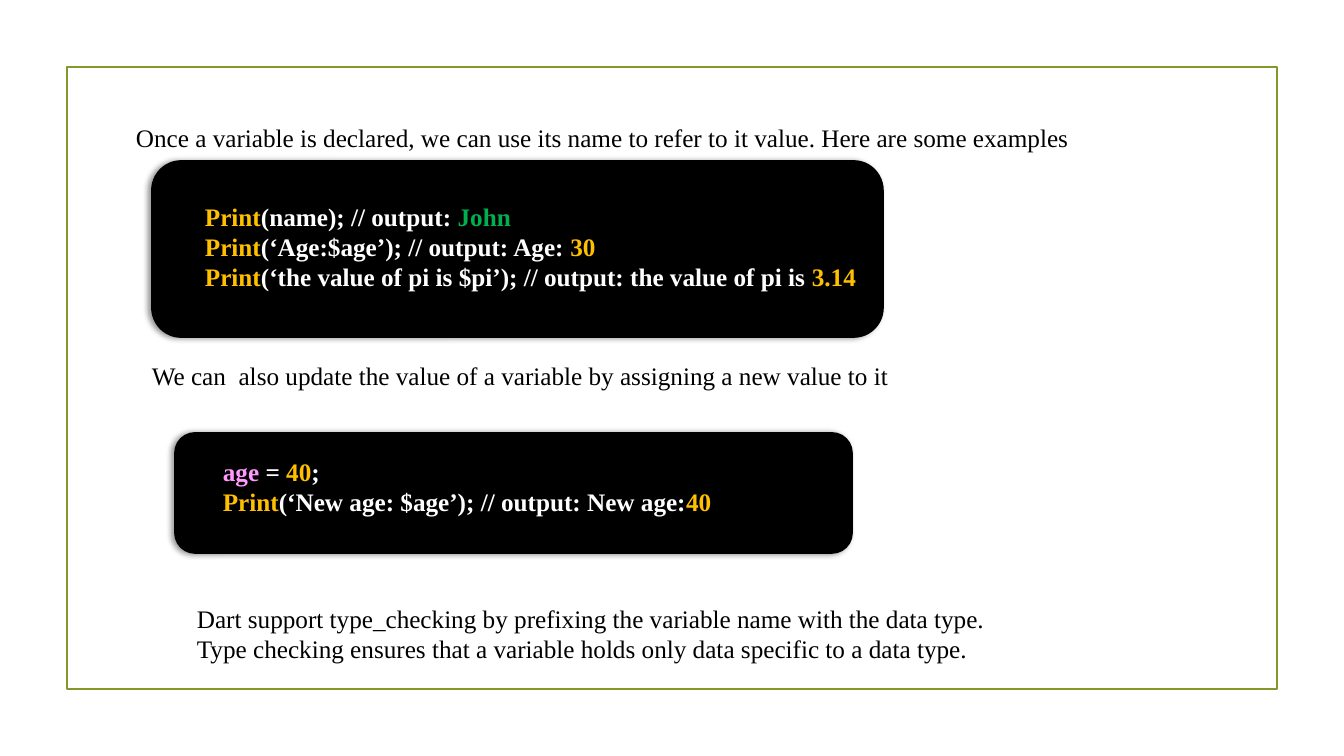
"""Build a slide on using and updating variables in Dart."""
from dataclasses import dataclass

from lxml import etree
from pptx import Presentation
from pptx.dml.color import RGBColor
from pptx.enum.shapes import MSO_SHAPE
from pptx.enum.text import MSO_AUTO_SIZE
from pptx.oxml import parse_xml
from pptx.oxml.ns import nsdecls, qn
from pptx.shapes.autoshape import Shape
from pptx.slide import Slide
from pptx.util import Emu, Pt

RECTANGLE = MSO_SHAPE.RECTANGLE
ROUNDED = MSO_SHAPE.ROUNDED_RECTANGLE
FIT_SHAPE = MSO_AUTO_SIZE.SHAPE_TO_FIT_TEXT
EMU_PER_PX = 914400 / 100.8
FONT = "Times New Roman"
COLOURS = {
    "frame": "83992A",
    "panel": "000000",
    "prose": "000000",
    "code": "FFFFFF",
    "keyword": "FFC000",
    "number": "FFC000",
    "string": "00B050",
    "variable": "FF99FF",
}


@dataclass(frozen=True)
class Box:
    """A place on the slide in px."""

    left: int
    top: int
    width: int
    height: int

    def emu(self) -> tuple[Emu, ...]:
        """Return the place in EMU."""
        return tuple(px(n) for n in (self.left, self.top, self.width, self.height))


@dataclass(frozen=True)
class Span:
    """A stretch of text in one colour role."""

    text: str
    role: str = "code"


@dataclass(frozen=True)
class Passage:
    """Lines of prose or code in one text box."""

    box: Box
    lines: tuple[tuple[Span, ...], ...]
    bold: bool = False


PRINT = Span("Print", "keyword")
FRAME = Box(67, 67, 1210, 622)
CODE_PANELS = (Box(152, 161, 731, 176), Box(175, 433, 677, 120))
PASSAGES = (
    Passage(Box(126, 117, 1119, 40), (
        (Span("Once a variable is declared, we can use its name to refer to it value. "
              "Here are some examples", "prose"),),
    )),
    Passage(Box(195, 196, 688, 102), (
        (PRINT, Span("(name); // output: "), Span("John", "string")),
        (PRINT, Span("(‘Age:$age’); // output: Age: "), Span("30", "number")),
        (PRINT, Span("(‘the value of pi is $pi’); // output: the value of pi is "),
         Span("3.14", "number")),
    ), bold=True),
    Passage(Box(142, 355, 763, 40), (
        (Span("We can  also update the value of a variable by assigning a new value to it",
              "prose"),),
    )),
    Passage(Box(213, 451, 531, 72), (
        (Span("age ", "variable"), Span("="), Span(" 40", "number"), Span(";")),
        (PRINT, Span("(‘New age: $age’); // output: New age:"), Span("40", "number")),
    ), bold=True),
    Passage(Box(187, 598, 808, 72), (
        (Span("Dart support type_checking by prefixing the variable name "
              "with the data type.", "prose"),),
        (Span("Type checking ensures that a variable holds only data specific "
              "to a data type.", "prose"),),
    )),
)


def px(length: int) -> Emu:
    """Turn px into EMU."""
    return Emu(round(length * EMU_PER_PX))


def colour(role: str) -> RGBColor:
    """Return the colour of a role."""
    return RGBColor.from_string(COLOURS[role])


def add_outlined(slide: Slide, preset: MSO_SHAPE, box: Box, role: str) -> Shape:
    """Add an unfilled shape with a coloured outline and no shadow."""
    outlined = slide.shapes.add_shape(preset, *box.emu())
    outlined.shadow.inherit = False
    outlined.fill.background()
    outlined.line.color.rgb = colour(role)
    outlined.line.width = Pt(1.25)
    return outlined


def add_code_panel(slide: Slide, box: Box) -> None:
    """Add a rounded dark panel with a soft shadow on its left."""
    panel = add_outlined(slide, ROUNDED, box, "panel")
    panel.fill.solid()
    panel.fill.fore_color.rgb = colour("panel")
    effects = panel.element.spPr.find(qn("a:effectLst"))
    effects.append(parse_xml(
        f'<a:outerShdw {nsdecls("a")} blurRad="{Pt(4)}" dist="{Pt(3)}" '
        'dir="10800000" algn="r" rotWithShape="0"/>'
    ))
    shade = etree.SubElement(effects[0], qn("a:srgbClr"), val=COLOURS["panel"])
    etree.SubElement(shade, qn("a:alpha"), val="40000")


def add_passage(slide: Slide, passage: Passage) -> None:
    """Add a text box with one paragraph for each line."""
    frame = slide.shapes.add_textbox(*passage.box.emu()).text_frame
    frame.word_wrap = True
    frame.auto_size = FIT_SHAPE
    for index, line in enumerate(passage.lines):
        paragraph = frame.add_paragraph() if index else frame.paragraphs[0]
        paragraph.font.name = FONT
        paragraph.font.size = Pt(18)
        paragraph.font.bold = passage.bold
        for span in line:
            run = paragraph.add_run()
            run.text = span.text
            run.font.color.rgb = colour(span.role)


def main() -> None:
    """Draw the slide and save it."""
    deck = Presentation()
    deck.slide_width, deck.slide_height = px(1344), px(756)
    slide = deck.slides.add_slide(deck.slide_layouts[6])
    add_outlined(slide, RECTANGLE, FRAME, "frame")
    for box in CODE_PANELS:
        add_code_panel(slide, box)
    for passage in PASSAGES:
        add_passage(slide, passage)
    deck.save("out.pptx")


if __name__ == "__main__":
    main()
